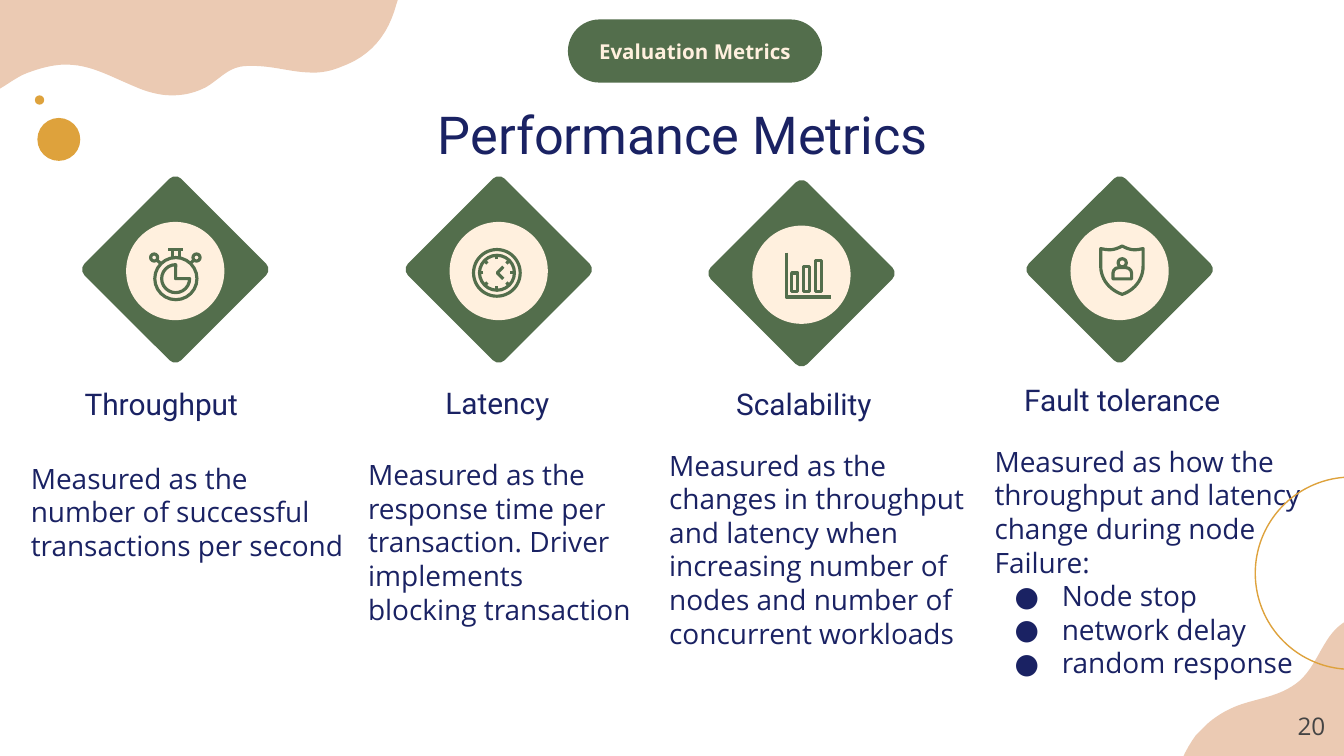
from math import cos, pi, sin

from lxml.etree import SubElement
from pptx import Presentation
from pptx.dml.color import RGBColor
from pptx.enum.shapes import MSO_CONNECTOR, MSO_SHAPE as Preset
from pptx.enum.text import MSO_ANCHOR as Anchor, MSO_AUTO_SIZE, PP_ALIGN as Align
from pptx.oxml.ns import qn
from pptx.util import Pt

GREEN = RGBColor(0x53, 0x6E, 0x4C)
CREAM = RGBColor(0xFF, 0xF0, 0xDE)
PEACH = RGBColor(0xEB, 0xCA, 0xB3)
GOLD = RGBColor(0xDE, 0xA2, 0x3C)
NAVY = RGBColor(0x1A, 0x22, 0x63)
GRAY = RGBColor(0x44, 0x44, 0x44)
STROKE = 1.7
CURVE_STEPS = 12

presentation = Presentation()
presentation.slide_width, presentation.slide_height = Pt(720), Pt(405)
slide = presentation.slides.add_slide(presentation.slide_layouts[1])
shapes = slide.shapes


def paint(shape, fill=None, line=None, weight=0.75):
    shape.shadow.inherit = False
    if fill is None:
        shape.fill.background()
    else:
        shape.fill.solid()
        shape.fill.fore_color.rgb = fill
    if line is None:
        shape.line.fill.background()
    else:
        shape.line.color.rgb = line
        shape.line.width = Pt(weight)
    return shape


def draw_outline(start, segments, closed=True):
    """Draw segments of two numbers (a line) or six (a cubic curve), in points."""
    points, (x, y) = [], start
    for segment in segments:
        if len(segment) == 6:
            x1, y1, x2, y2, x3, y3 = segment
            for step in range(1, CURVE_STEPS + 1):
                t = step / CURVE_STEPS
                a, b, c, d = (1 - t) ** 3, 3 * t * (1 - t) ** 2, 3 * t * t * (1 - t), t ** 3
                points.append((Pt(a * x + b * x1 + c * x2 + d * x3),
                               Pt(a * y + b * y1 + c * y2 + d * y3)))
        else:
            points.append((Pt(segment[0]), Pt(segment[1])))
        x, y = segment[-2:]
    builder = shapes.build_freeform(Pt(start[0]), Pt(start[1]), scale=1.0)
    builder.add_line_segments(points, close=closed)
    return builder.convert_to_shape()


# Background decoration
top_blob = draw_outline((0, 47.5), [
    (5, 44.6, 9.4, 41, 15.1, 38.9), (23, 36, 29.5, 34.6, 35.3, 34.6),
    (49, 34.6, 59, 41, 74.9, 47.5), (80.6, 49.7, 86.4, 51.1, 92.2, 51.1),
    (98.6, 51.1, 104.4, 49.7, 110.2, 46.8), (118.8, 41.8, 122.4, 35.3, 133.2, 35.3),
    (146.5, 35, 156, 38.9, 167.8, 38.9), (172, 38.9, 177, 38.2, 182.2, 36),
    (198.7, 30.2, 208, 18.7, 212.4, 2.2), (213.1, 0), (0, 0)])
corner_blob = draw_outline((640.8, 393.8), [
    (643, 391.7), (648.7, 385.2, 656.6, 380.2, 665.3, 377.3),
    (673.9, 374.4, 684, 373, 691.9, 367.9), (702, 362.2, 705.6, 350.6, 712.1, 341.3),
    (715.7, 336.2, 721.4, 331.2, 727.9, 330.5), (741.6, 329, 746.6, 342, 746.6, 353.5),
    (746.6, 367.2, 740.2, 380.2, 733.7, 392.4), (727.9, 403.2, 720, 413.3, 711.4, 421.2),
    (698.4, 432.7, 682.6, 444.2, 666, 448.6), (653.8, 452.2, 639.4, 447.8, 632.9, 437),
    (625, 423.4, 632.2, 405.4, 640.8, 393.8)])
for blob in (top_blob, corner_blob):
    paint(blob, PEACH)
for left, top, size, fill, line in [(18.7, 51.1, 5, GOLD, None), (20, 63.2, 23, GOLD, None),
                                    (672.5, 255.6, 103, None, GOLD)]:
    paint(shapes.add_shape(Preset.OVAL, Pt(left), Pt(top), Pt(size), Pt(size)), fill, line)

# Title and section badge; each text is (frame, anchor, align, size, font, colour, bold, lines)
title = shapes.title
title.left, title.top, title.width, title.height = Pt(61.9), Pt(49), Pt(607.7), Pt(45.4)
badge = paint(shapes.add_shape(Preset.ROUNDED_RECTANGLE, Pt(304.6), Pt(10.8), Pt(135.4), Pt(33.1)),
              GREEN, GREEN)
badge.adjustments[0] = 0.5
number = shapes.add_textbox(Pt(673.9), Pt(373.7), Pt(43.2), Pt(31))
texts = [
    (title, Anchor.MIDDLE, Align.CENTER, 28, "Roboto", NAVY, False, ["Performance Metrics"]),
    (badge, Anchor.MIDDLE, Align.CENTER, 11, "Open Sans", CREAM, True, ["Evaluation Metrics"]),
    (number, Anchor.TOP, Align.RIGHT, 13, "Open Sans", GRAY, False, ["20"]),
]

# Metric columns: diamond centre, heading corner, body corner and height, wording
BODY_SIZE, BODY_LEADING = 15, 18
bullets = ["Node stop", "network delay", "random response"]
columns = [
    (93.9, 144.4, 18.7, 205.2, 9.4, 239.8, 104.4, "Throughput",
     ["Measured as the number of successful transactions per second"]),
    (267.2, 144.4, 198.7, 204.5, 190.1, 238, 104.4, "Latency",
     ["Measured as the response time per transaction. Driver implements",
      "blocking transaction"]),
    (429.4, 146.4, 362.9, 205.2, 351.4, 232.9, 122.4, "Scalability",
     ["Measured as the changes in throughput and latency when increasing number of "
      "nodes and number of concurrent workloads"]),
    (599.8, 144.4, 533.5, 203, 525.6, 230.8, 140.4, "Fault tolerance",
     ["Measured as how the throughput and latency change during node", "Failure:"] + bullets),
]
for x, y, head_left, head_top, body_left, body_top, body_height, name, lines in columns:
    diamond = shapes.add_shape(Preset.ROUNDED_RECTANGLE, Pt(x - 36.6), Pt(y - 36.6), Pt(73.2), Pt(73.2))
    diamond.adjustments[0] = 0.06
    diamond.rotation = 45
    paint(diamond, GREEN)
    paint(shapes.add_shape(Preset.OVAL, Pt(x - 26.3), Pt(y - 25.5), Pt(52.6), Pt(52.6)), CREAM)
    heading = shapes.add_textbox(Pt(head_left), Pt(head_top), Pt(135.4), Pt(22.3))
    if bullets[0] in lines:
        body = slide.placeholders[1]
        body.left, body.top = Pt(body_left), Pt(body_top)
        body.width, body.height = Pt(188.6), Pt(body_height)
    else:
        body = shapes.add_textbox(Pt(body_left), Pt(body_top), Pt(188.6), Pt(body_height))
    texts.append((heading, Anchor.MIDDLE, Align.CENTER, 16, "Roboto", NAVY, False, [name]))
    texts.append((body, Anchor.TOP, Align.LEFT, BODY_SIZE, "Open Sans", NAVY, False, lines))

for shape, anchor, align, size, font, color, bold, lines in texts:
    frame = shape.text_frame
    frame.word_wrap = True
    frame.auto_size = MSO_AUTO_SIZE.NONE
    frame.vertical_anchor = anchor
    frame.margin_left = frame.margin_right = frame.margin_top = frame.margin_bottom = Pt(7.2)
    for index, line in enumerate(lines):
        paragraph = frame.paragraphs[0] if index == 0 else frame.add_paragraph()
        paragraph.alignment = align
        paragraph.space_before = Pt(0)
        if size == BODY_SIZE:
            paragraph.line_spacing = Pt(BODY_LEADING)
        properties = paragraph._p.get_or_add_pPr()
        if line in bullets:
            properties.set("marL", str(Pt(36)))
            properties.set("indent", str(Pt(-25.2)))
            bullet_color = SubElement(properties, qn("a:buClr"))
            SubElement(bullet_color, qn("a:srgbClr")).set("val", str(NAVY))
            SubElement(properties, qn("a:buFont")).set("typeface", font)
            SubElement(properties, qn("a:buChar")).set("char", "●")
        else:
            properties.set("marL", "0")
            properties.set("indent", "0")
            SubElement(properties, qn("a:buNone"))
        run = paragraph.add_run()
        run.text = line
        run.font.size, run.font.name, run.font.bold = Pt(size), font, bold
        run.font.color.rgb = color

# Icons: outlined presets, then open and closed outlines, then short strokes
icon_parts = [
    (Preset.OVAL, 82.9, 138, 22.6, 22.6), (Preset.PIE, 86.6, 141.8, 15, 15),  # stopwatch
    (Preset.RECTANGLE, 92.2, 133.6, 4, 4.2),
    (Preset.OVAL, 80.7, 136.1, 3.8, 3.8), (Preset.OVAL, 103.4, 136.1, 3.8, 3.8),
    (Preset.OVAL, 253.7, 133.7, 25, 25), (Preset.OVAL, 256.9, 136.8, 18.7, 18.7),  # clock
    (Preset.OVAL, 599, 138.6, 4.4, 4.4),  # person
    (Preset.ROUND_2_SAME_RECTANGLE, 596.2, 143.4, 10, 6),
]
BAR_BASE = 156.2
for bar, height in enumerate((10, 13.6, 16.5)):
    icon_parts.append((Preset.RECTANGLE, 424.1 + 6.4 * bar, BAR_BASE - height, 3.4, height))
for preset, left, top, width, height in icon_parts:
    part = shapes.add_shape(preset, Pt(left), Pt(top), Pt(width), Pt(height))
    if preset == Preset.ROUND_2_SAME_RECTANGLE:
        part.adjustments[0] = 0.5
    paint(part, None, GREEN, STROKE)

shield = draw_outline((601.2, 131.8), [
    (606, 134.6, 609.1, 133.9, 612.4, 133.2), (612.4, 142.6),
    (612.4, 149.8, 607.7, 155.5, 601.2, 157.7), (594.7, 155.5, 589.7, 149.8, 589.7, 142.6),
    (589.7, 133.2), (593.3, 133.9, 596.2, 134.6, 601.2, 131.8)])
chart_axes = draw_outline((421.2, 135.4), [(421.2, 159.1), (445, 159.1)], closed=False)
clock_hands = draw_outline((269.6, 142.9), [(266.4, 146.2), (269.6, 149.4)], closed=False)
for outline in (shield, chart_axes, clock_hands):
    paint(outline, None, GREEN, STROKE)

strokes = [(90.2, 133.5, 98.2, 133.5), (84.2, 139.5, 86, 141), (103.8, 139.5, 102, 141)]
for tick in range(8):
    dx, dy = cos(tick * pi / 4), sin(tick * pi / 4)
    strokes.append((266.2 + 7.2 * dx, 146.2 + 7.2 * dy, 266.2 + 9 * dx, 146.2 + 9 * dy))
for ends in strokes:
    stroke = shapes.add_connector(MSO_CONNECTOR.STRAIGHT, *[Pt(value) for value in ends])
    stroke.line.color.rgb = GREEN
    stroke.line.width = Pt(STROKE)
    SubElement(stroke._element.spPr, qn("a:effectLst"))

presentation.save("out.pptx")
